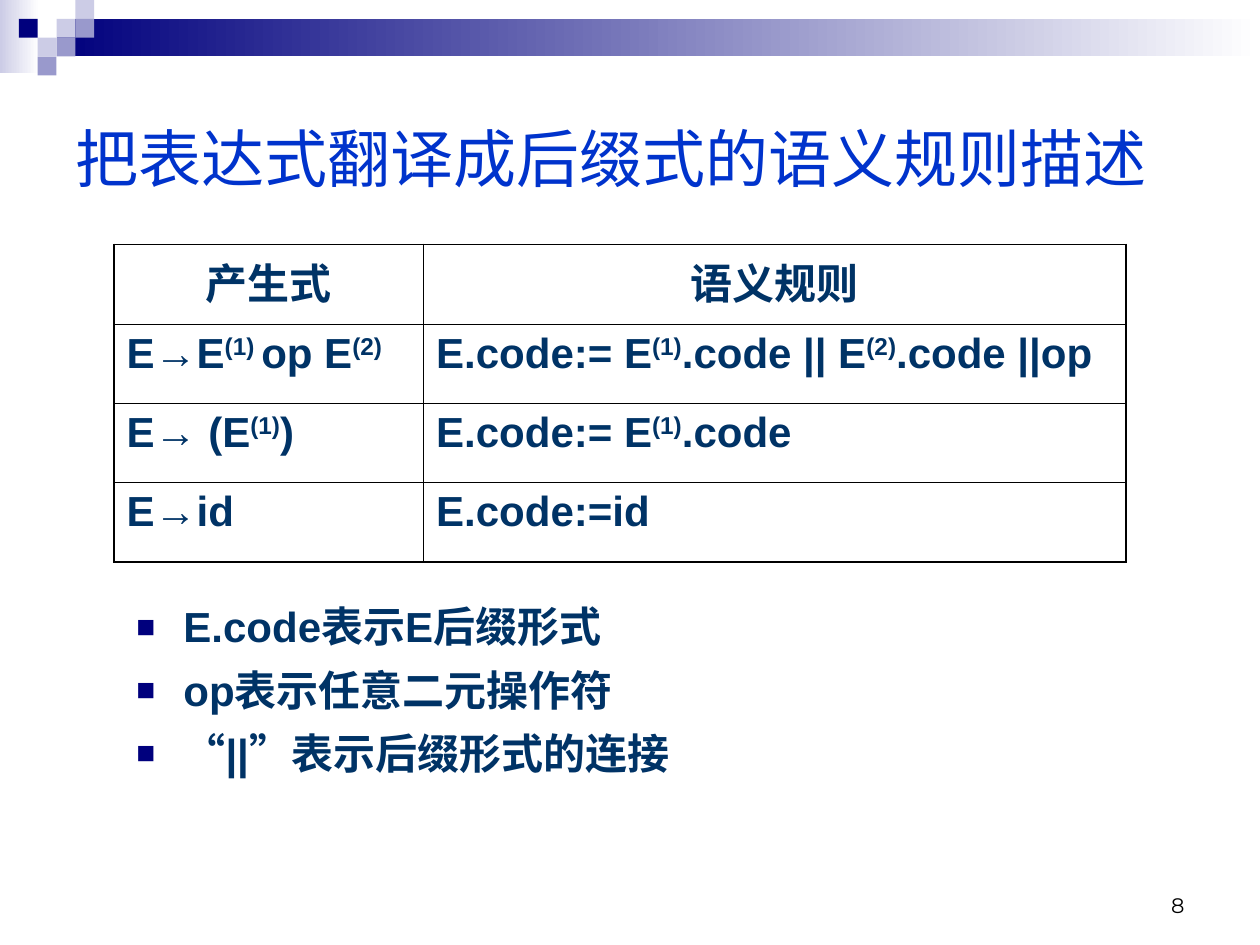
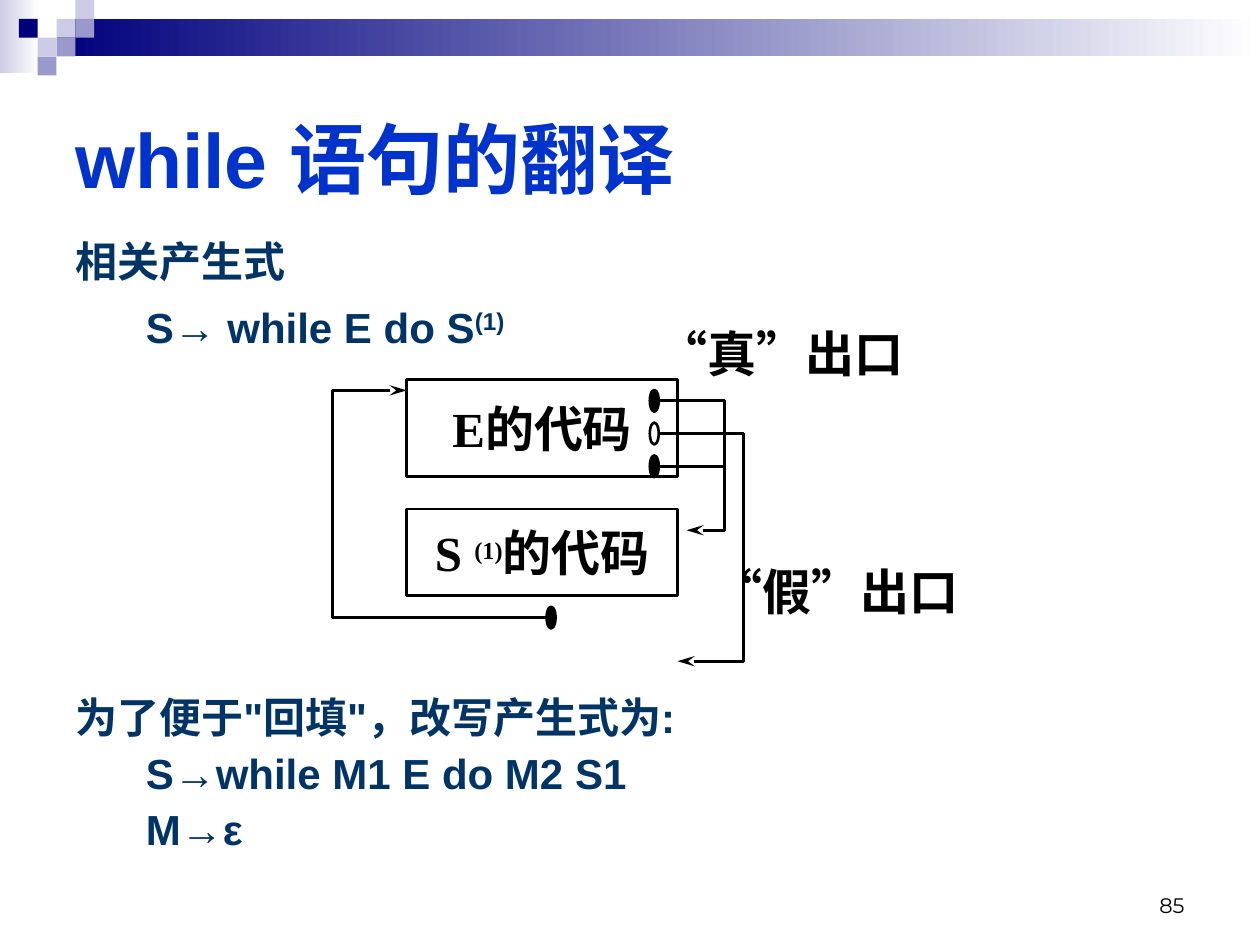
from lxml import etree
from pptx import Presentation
from pptx.dml.color import RGBColor
from pptx.enum.shapes import MSO_CONNECTOR, MSO_SHAPE
from pptx.enum.text import MSO_ANCHOR, PP_ALIGN
from pptx.oxml.ns import qn
from pptx.util import Cm, Pt

RECT, OVAL = MSO_SHAPE.RECTANGLE, MSO_SHAPE.OVAL
STRAIGHT = MSO_CONNECTOR.STRAIGHT
MIDDLE, BOTTOM = MSO_ANCHOR.MIDDLE, MSO_ANCHOR.BOTTOM
LEFT, CENTER, RIGHT = PP_ALIGN.LEFT, PP_ALIGN.CENTER, PP_ALIGN.RIGHT

NAVY = RGBColor(0x00, 0x00, 0x7D)
LAVENDER = RGBColor(0xCC, 0xCC, 0xE6)
PERIWINKLE = RGBColor(0x99, 0x99, 0xCC)
WHITE = RGBColor(0xFF, 0xFF, 0xFF)
BLACK = RGBColor(0x00, 0x00, 0x00)
TITLE_BLUE = RGBColor(0x00, 0x33, 0xCC)
BODY_BLUE = RGBColor(0x00, 0x33, 0x66)

ARIAL, TIMES, NUMBER_FONT = "Arial", "Times New Roman", "Montserrat"
CJK = "Noto Sans CJK SC"
LINE_WIDTH = Pt(1.5)


def write(paragraph, text, size=24, color=BODY_BLUE, bold=True, font=ARIAL,
          align=LEFT, raised_size=None):
    """Append runs to the paragraph; every second part between ^ marks is superscript."""
    paragraph.alignment = align
    for i, part in enumerate(text.split("^")):
        if not part:
            continue
        raised = i % 2 == 1
        run = paragraph.add_run()
        run.text = part
        run.font.size = Pt(raised_size if raised and raised_size else size)
        run.font.bold = bold
        run.font.color.rgb = color
        run.font.name = font
        properties = run.font._element
        etree.SubElement(properties, qn("a:ea"), typeface=CJK)
        if raised:
            properties.set("baseline", "30000")


def add_block(slide, kind, left, top, width, height, fill=None, outlined=False):
    """Add a preset shape, in cm; two fill colours make a gradient to the right."""
    block = slide.shapes.add_shape(kind, Cm(left), Cm(top), Cm(width), Cm(height))
    block.shadow.inherit = False
    if fill is None:
        block.fill.background()
    elif isinstance(fill, list):
        block.fill.gradient()
        block.fill.gradient_angle = 0
        for stop, color in zip(block.fill.gradient_stops, fill):
            stop.color.rgb = color
    else:
        block.fill.solid()
        block.fill.fore_color.rgb = fill
    if outlined:
        block.line.color.rgb = BLACK
        block.line.width = LINE_WIDTH
    else:
        block.line.fill.background()
    return block


prs = Presentation()
prs.slide_width, prs.slide_height = Cm(25.4), Cm(19.05)

# Shared parts: corner mosaic, band, title and slide number
TILE = 0.38
mosaic = [(3, 1, LAVENDER), (4, 0, LAVENDER), (4, 1, PERIWINKLE), (2, 2, LAVENDER),
          (1, 1, NAVY), (3, 2, PERIWINKLE), (2, 3, PERIWINKLE)]
headings = [("把表达式翻译成后缀式的语义规则描述", 36, False, "8"),
            ("while 语句的翻译", 44, True, "85")]
slides = []
for title, title_size, title_bold, number in headings:
    slide = prs.slides.add_slide(prs.slide_layouts[6])
    slides.append(slide)
    add_block(slide, RECT, 0, 0, 0.79, 1.47, [LAVENDER, WHITE])
    add_block(slide, RECT, 3 * TILE, TILE, 25.4 - 3 * TILE, 2 * TILE, [NAVY, WHITE])
    for column, row, color in mosaic:
        add_block(slide, RECT, column * TILE, row * TILE, TILE, TILE, color)

    title_frame = slide.shapes.add_textbox(
        Cm(1.27), Cm(1.27), Cm(22.86), Cm(3.81)).text_frame
    title_frame.word_wrap = True
    title_frame.vertical_anchor = MIDDLE
    write(title_frame.paragraphs[0], title, title_size, TITLE_BLUE, title_bold)

    number_frame = slide.shapes.add_textbox(
        Cm(18.2), Cm(17.35), Cm(5.93), Cm(1.27)).text_frame
    number_frame.word_wrap = True
    number_frame.vertical_anchor = BOTTOM
    write(number_frame.paragraphs[0], number, 12, BLACK, False, NUMBER_FONT, RIGHT)

rules_slide, while_slide = slides

# Semantic rules
rules = [
    ("产生式", "语义规则"),
    ("E→E^(1) ^op E^(2)", "E.code:= E^(1)^.code || E^(2)^.code ||op"),
    ("E→ (E^(1)^)", "E.code:= E^(1)^.code"),
    ("E→id", "E.code:=id"),
]
table = rules_slide.shapes.add_table(
    len(rules), 2, Cm(2.3), Cm(4.93), Cm(20.4), Cm(6.4)).table
table.first_row = table.horz_banding = False
table.columns[0].width, table.columns[1].width = Cm(6.24), Cm(14.16)
for r, row_texts in enumerate(rules):
    table.rows[r].height = Cm(1.6)
    for c, text in enumerate(row_texts):
        cell = table.cell(r, c)
        cell.fill.background()
        write(cell.text_frame.paragraphs[0], text, align=LEFT if r else CENTER)
        outer_edges = [("lnL", c == 0), ("lnR", c == 1),
                       ("lnT", r == 0), ("lnB", r == len(rules) - 1)]
        cell_properties = cell._tc.get_or_add_tcPr()
        for position, (edge, is_outer) in enumerate(outer_edges):
            border = etree.Element(qn(f"a:{edge}"), w=str(Pt(1.08 if is_outer else 0.45)))
            border_fill = etree.SubElement(border, qn("a:solidFill"))
            etree.SubElement(border_fill, qn("a:srgbClr"), val=str(BLACK))
            cell_properties.insert(position, border)

# Explanations of the notation
notes = [
    [("E.code表示E后缀形式", ARIAL)],
    [("op表示任意二元操作符", ARIAL)],
    [("“", CJK), ("||", ARIAL), ("”", CJK), ("表示后缀形式的连接", ARIAL)],
]
notes_frame = rules_slide.shapes.add_textbox(
    Cm(2.5), Cm(11.94), Cm(14.4), Cm(5)).text_frame
notes_frame.word_wrap = True
for i, parts in enumerate(notes):
    note = notes_frame.paragraphs[0] if i == 0 else notes_frame.add_paragraph()
    note.line_spacing = 1.05
    note.space_before = Pt(6 if i else 0)
    properties = note._p.get_or_add_pPr()
    properties.set("marL", str(Cm(0.95)))
    properties.set("indent", str(-Cm(0.95)))
    bullet_color = etree.SubElement(properties, qn("a:buClr"))
    etree.SubElement(bullet_color, qn("a:srgbClr"), val=str(NAVY))
    etree.SubElement(properties, qn("a:buSzPct"), val="75000")
    etree.SubElement(properties, qn("a:buFont"), typeface=ARIAL)
    etree.SubElement(properties, qn("a:buChar"), char="■")
    for text, font in parts:
        write(note, text, font=font)

# Productions above and below the diagram: top, line spacing, (text, indented)
productions = [
    (4.52, 1.1, [("相关产生式", False), ("S→ while E do S^(1)", True)]),
    (13.94, 0.9, [("为了便于\"回填\"，改写产生式为:", False),
                  ("S→while M1 E do M2 S1", True), ("M→ε", True)]),
]
for top, spacing, lines in productions:
    frame = while_slide.shapes.add_textbox(
        Cm(1.27), Cm(top), Cm(22.86), Cm(1.4 * len(lines))).text_frame
    frame.word_wrap = True
    for i, (text, indented) in enumerate(lines):
        line = frame.paragraphs[0] if i == 0 else frame.add_paragraph()
        line.line_spacing = spacing
        line.space_before = Pt(6 if i else 0)
        if indented:
            line._p.get_or_add_pPr().set("marL", str(Cm(1.42)))
        write(line, text)

# Code blocks of the loop
for text, top, height in [("E的代码", 7.65, 1.96), ("S ^(1)^的代码", 10.26, 1.75)]:
    code_frame = add_block(while_slide, RECT, 8.2, top, 5.46, height, outlined=True).text_frame
    code_frame.word_wrap = False
    code_frame.vertical_anchor = MIDDLE
    write(code_frame.paragraphs[0], text, 28, BLACK, True, TIMES, CENTER, raised_size=24)

# Jumps: false exit, true exit, back to the condition
EXIT_X, TRUE_TURN_X, FALSE_TURN_X = 13.28, 14.61, 14.99
TRUE_Y, FALSE_Y, SECOND_TRUE_Y = 8.08, 8.74, 9.4
BACK_X, BACK_Y, BACK_TURN_X, ENTRY_Y = 11.02, 12.45, 6.71, 7.87
jumps = [
    [(EXIT_X, FALSE_Y), (FALSE_TURN_X, FALSE_Y), (FALSE_TURN_X, 13.33), (13.66, 13.33)],
    [(EXIT_X, TRUE_Y), (TRUE_TURN_X, TRUE_Y), (TRUE_TURN_X, 10.69), (13.84, 10.69)],
    [(BACK_X, BACK_Y), (BACK_TURN_X, BACK_Y), (BACK_TURN_X, ENTRY_Y), (8.2, ENTRY_Y)],
]
for corners in jumps:
    points = [(Cm(x), Cm(y)) for x, y in corners]
    builder = while_slide.shapes.build_freeform(*points[0])
    builder.add_line_segments(points[1:], close=False)
    jump = builder.convert_to_shape()
    jump.shadow.inherit = False
    jump.fill.background()
    jump.line.color.rgb = BLACK
    jump.line.width = LINE_WIDTH
    etree.SubElement(jump.element.spPr.find(qn("a:ln")), qn("a:tailEnd"),
                     type="stealth", w="med", len="lg")

second_true = while_slide.shapes.add_connector(
    STRAIGHT, Cm(EXIT_X), Cm(SECOND_TRUE_Y), Cm(TRUE_TURN_X), Cm(SECOND_TRUE_Y))
second_true.line.color.rgb = BLACK
second_true.line.width = LINE_WIDTH
etree.SubElement(second_true._element.spPr, qn("a:effectLst"))

dots = [(13.1, TRUE_Y, BLACK), (13.1, FALSE_Y, None),
        (13.1, SECOND_TRUE_Y, BLACK), (BACK_X, BACK_Y, BLACK)]
for left, center_y, fill in dots:
    add_block(while_slide, OVAL, left, center_y - 0.22, 0.18, 0.44, fill, outlined=True)

# Exit labels, centred in boxes wide enough for one line
LABEL_WIDTH = 7
for text, center_x, top in [("“真”出口", 15.74, 6.35), ("“假”出口", 16.85, 11.15)]:
    exit_frame = while_slide.shapes.add_textbox(
        Cm(center_x - LABEL_WIDTH / 2), Cm(top), Cm(LABEL_WIDTH), Cm(1.52)).text_frame
    exit_frame.word_wrap = True
    exit_frame.vertical_anchor = MIDDLE
    write(exit_frame.paragraphs[0], text, 28, BLACK, True, TIMES, CENTER)

prs.save("out.pptx")
